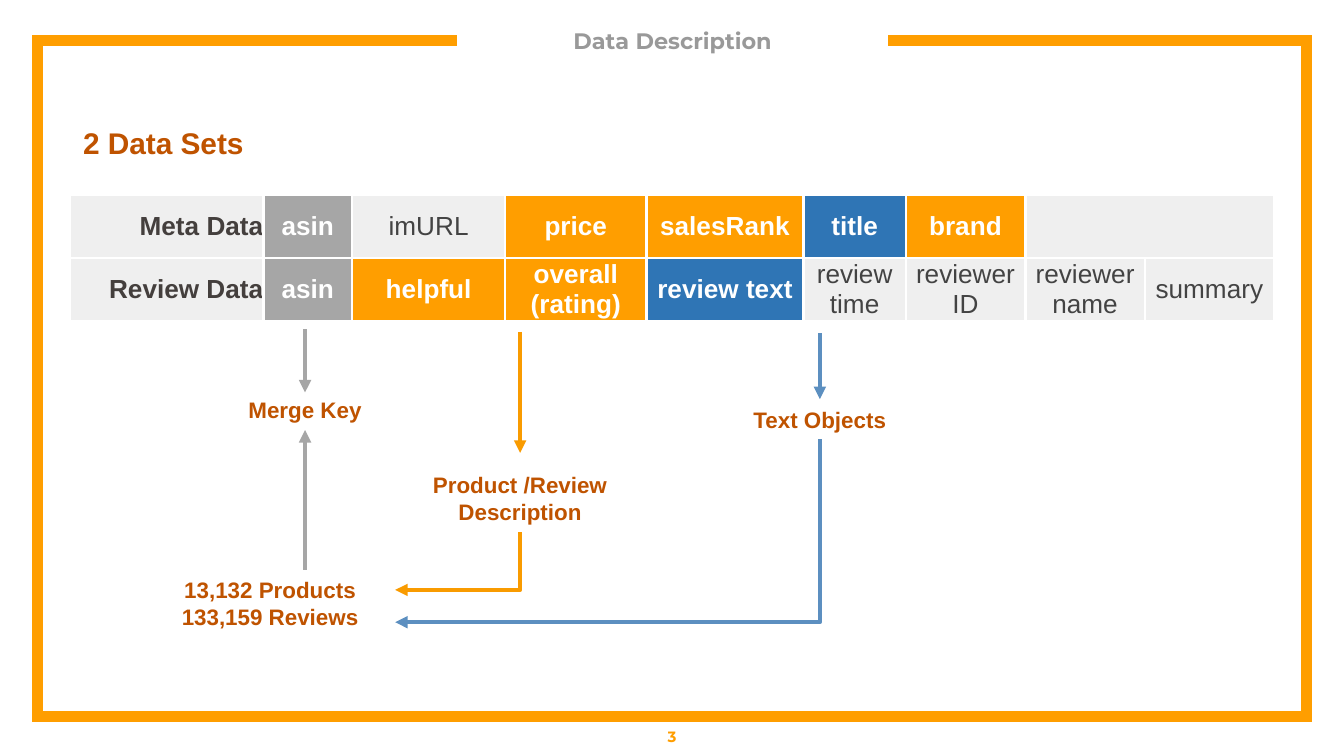
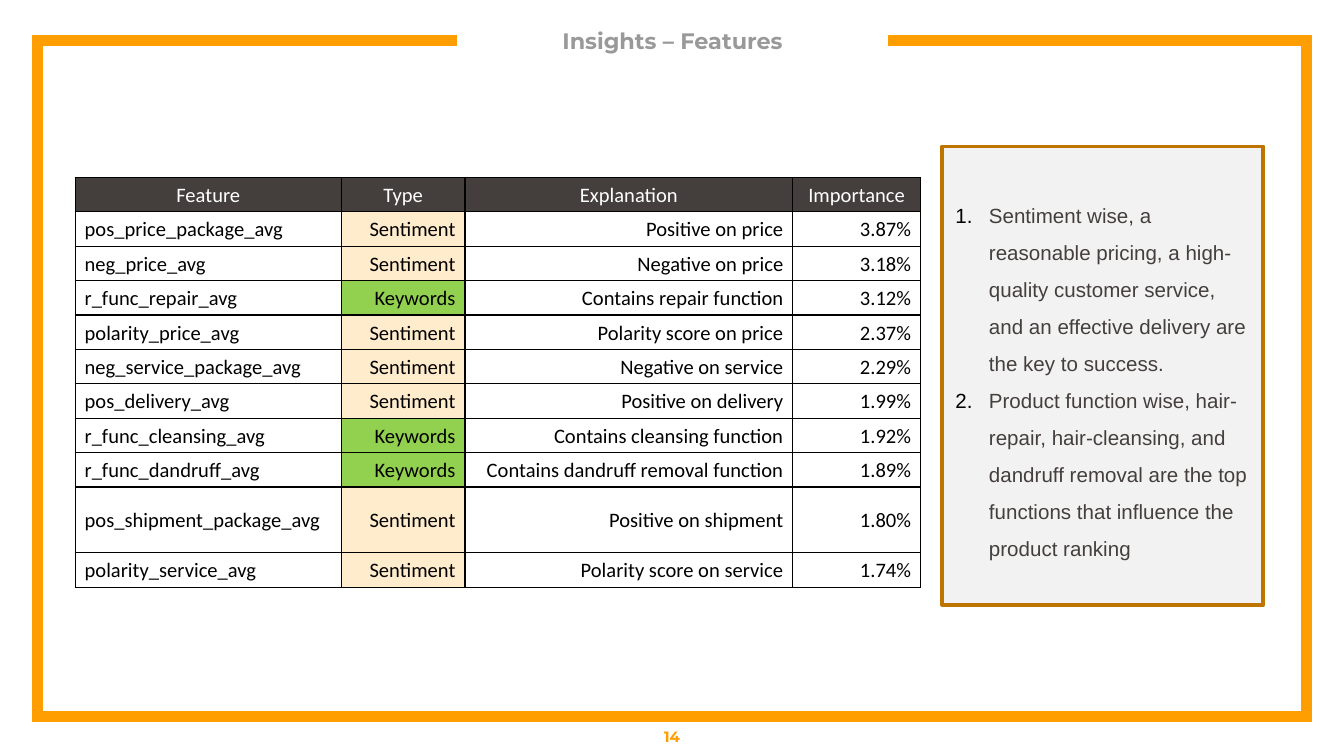
from lxml.etree import SubElement
from pptx import Presentation
from pptx.dml.color import RGBColor
from pptx.enum.shapes import MSO_CONNECTOR, MSO_SHAPE
from pptx.enum.text import MSO_ANCHOR, MSO_AUTO_SIZE, PP_ALIGN
from pptx.oxml.ns import qn
from pptx.util import Inches, Pt

COLORS = {
    "frame": "FF9E00", "title": "999999", "heading": "BF5300", "dark": "443F3D",
    "body": "434343", "white": "FFFFFF", "black": "000000", "pale": "EFEFEF",
    "key": "A6A6A6", "text": "2F75B5", "key arrow": "A6A6A6",
    "product arrow": "F99B00", "text arrow": "5C8FC0", "sentiment": "FFECCC",
    "keywords": "92D050", "panel": "F2F2F2", "panel line": "BD7500",
}
LEFT, CENTER, RIGHT = PP_ALIGN.LEFT, PP_ALIGN.CENTER, PP_ALIGN.RIGHT
FRAME_POINTS = [(3.4, 0.3), (0.28, 0.3), (0.28, 5.33), (9.72, 5.33), (9.72, 0.3), (6.61, 0.3)]

# Data Description: each field has a name and a role
DATA_SETS = [
    [("Meta Data", "label"), ("asin", "key"), ("imURL", "other"), ("price", "product"),
     ("salesRank", "product"), ("title", "text"), ("brand", "product"),
     ("", "other"), ("", "other")],
    [("Review Data", "label"), ("asin", "key"), ("helpful", "product"),
     ("overall (rating)", "product"), ("review text", "text"), ("review time", "other"),
     ("reviewer ID", "other"), ("reviewer name", "other"), ("summary", "other")],
]
# role: fill, font colour, bold, alignment
ROLES = {
    "label": ("pale", "dark", True, RIGHT),
    "key": ("key", "white", True, CENTER),
    "product": ("frame", "white", True, CENTER),
    "text": ("text", "white", True, CENTER),
    "other": ("pale", "body", False, CENTER),
}
DATA_COLUMNS = [1.44, 0.66, 1.14, 1.05, 1.17, 0.76, 0.89, 0.89, 0.96]
DATA_ROWS = [0.47, 0.47]
FLOW_LABELS = [
    (["Merge Key"], (1.56, 2.9, 1.42, 0.3)),
    (["Product /Review Description"], (2.98, 3.46, 1.78, 0.5)),
    (["Text Objects"], (5.21, 2.97, 1.78, 0.3)),
    (["13,132 Products", "133,159 Reviews"], (1.12, 4.24, 1.78, 0.5)),
]
KEY_X, PRODUCT_X, TEXT_X, TOTALS_X = 2.27, 3.87, 6.1, 2.94
STRAIGHT_ARROWS = [
    ("key arrow", KEY_X, 2.45, 2.92),
    ("key arrow", KEY_X, 4.24, 3.2),
    ("product arrow", PRODUCT_X, 2.47, 3.37),
    ("text arrow", TEXT_X, 2.48, 2.97),
]
BENT_ARROWS = [
    ("product arrow", (PRODUCT_X, 3.96), (TOTALS_X, 4.39)),
    ("text arrow", (TEXT_X, 3.27), (TOTALS_X, 4.63)),
]

# Insights – Features
FEATURE_HEADER = ["Feature", "Type", "Explanation", "Importance"]
FEATURES = [
    ("pos_price_package_avg", "Sentiment", "Positive on price", "3.87%"),
    ("neg_price_avg", "Sentiment", "Negative on price", "3.18%"),
    ("r_func_repair_avg", "Keywords", "Contains repair function", "3.12%"),
    ("polarity_price_avg", "Sentiment", "Polarity score on price", "2.37%"),
    ("neg_service_package_avg", "Sentiment", "Negative on service", "2.29%"),
    ("pos_delivery_avg", "Sentiment", "Positive on delivery", "1.99%"),
    ("r_func_cleansing_avg", "Keywords", "Contains cleansing function", "1.92%"),
    ("r_func_dandruff_avg", "Keywords", "Contains dandruff removal function", "1.89%"),
    ("pos_shipment_package_avg", "Sentiment", "Positive on shipment", "1.80%"),
    ("polarity_service_avg", "Sentiment", "Polarity score on service", "1.74%"),
]
FEATURE_COLUMNS = [1.98, 0.92, 2.44, 0.95]
FEATURE_HEIGHT, TALL_ROW = 3.05, 0.49
PLAIN_ROW = (FEATURE_HEIGHT - TALL_ROW) / len(FEATURES)
FEATURE_ROWS = [PLAIN_ROW] * 9 + [TALL_ROW, PLAIN_ROW]
TAKEAWAYS = [
    "Sentiment wise, a reasonable pricing, a high-quality customer service, "
    "and an effective delivery are the key to success.",
    "Product function wise, hair-repair, hair-cleansing, and dandruff removal "
    "are the top functions that influence the product ranking",
]


def color(name):
    return RGBColor.from_string(COLORS[name])


def write(paragraph, text, size, color_name, font="Arial", bold=False, align=LEFT):
    paragraph.alignment = align
    run = paragraph.add_run()
    run.text = text
    run.font.size = Pt(size)
    run.font.name = font
    run.font.bold = bold
    run.font.color.rgb = color(color_name)


def add_text(slide, box, lines, size, color_name, font="Arial", align=CENTER,
             margins=None, grow=False):
    """Bold text box with one paragraph per line."""
    frame = slide.shapes.add_textbox(*map(Inches, box)).text_frame
    frame.word_wrap = True
    if grow:
        frame.auto_size = MSO_AUTO_SIZE.SHAPE_TO_FIT_TEXT
    else:
        frame.vertical_anchor = MSO_ANCHOR.MIDDLE
    if margins is not None:
        frame.margin_left = frame.margin_right = Inches(margins)
        frame.margin_top = frame.margin_bottom = Inches(margins)
    for index, line in enumerate(lines):
        paragraph = frame.add_paragraph() if index else frame.paragraphs[0]
        write(paragraph, line, size, color_name, font, True, align)


def add_base_slide(presentation, title, number):
    """Slide with the open frame, title and page number."""
    slide = presentation.slides.add_slide(presentation.slide_layouts[6])
    points = [(Inches(x), Inches(y)) for x, y in FRAME_POINTS]
    builder = slide.shapes.build_freeform(*points[0])
    builder.add_line_segments(points[1:], close=False)
    border = builder.convert_to_shape()
    border.shadow.inherit = False
    border.fill.background()
    border.line.color.rgb = color("frame")
    border.line.width = Pt(6)
    SubElement(border.element.spPr.find(qn("a:ln")), qn("a:miter"), lim="800000")
    add_text(slide, (3.55, 0.11, 2.91, 0.39), [title], 12, "title", "Montserrat", margins=0)
    add_text(slide, (0, 5.33, 10, 0.3), [number], 8, "frame", "Montserrat", margins=0.1)
    return slide


def add_plain_table(slide, left, top, columns, rows):
    shape = slide.shapes.add_table(len(rows), len(columns), Inches(left), Inches(top),
                                   Inches(sum(columns)), Inches(sum(rows)))
    table = shape.table
    table.first_row = table.horz_banding = False
    for column, width in zip(table.columns, columns):
        column.width = Inches(width)
    for row, height in zip(table.rows, rows):
        row.height = Inches(height)
    return table


def style_cell(cell, fill_name, border_name, border_width, side_margin):
    properties = cell._tc.get_or_add_tcPr()
    for side in ("a:lnL", "a:lnR", "a:lnT", "a:lnB"):
        line = SubElement(properties, qn(side), w=str(Pt(border_width)))
        fill = SubElement(line, qn("a:solidFill"))
        SubElement(fill, qn("a:srgbClr"), val=COLORS[border_name])
    cell.fill.solid()
    cell.fill.fore_color.rgb = color(fill_name)
    cell.vertical_anchor = MSO_ANCHOR.MIDDLE
    cell.margin_left = cell.margin_right = Inches(side_margin)
    cell.margin_top = cell.margin_bottom = 0


def add_arrow(slide, color_name, start, end, kind=MSO_CONNECTOR.STRAIGHT):
    arrow = slide.shapes.add_connector(kind, *map(Inches, start + end))
    arrow.line.color.rgb = color(color_name)
    arrow.line.width = Pt(2.25)
    properties = arrow.element.spPr
    SubElement(properties.find(qn("a:ln")), qn("a:tailEnd"), type="triangle")
    SubElement(properties, qn("a:effectLst"))
    return arrow


def add_bent_arrow(slide, color_name, start, end):
    """Arrow that runs down from start, then left to end."""
    across, down = start[0] - end[0], end[1] - start[1]
    left = (start[0] + end[0] - down) / 2
    top = (start[1] + end[1] - across) / 2
    arrow = add_arrow(slide, color_name, (left, top), (left + down, top + across),
                      MSO_CONNECTOR.ELBOW)
    properties = arrow.element.spPr
    properties.find(qn("a:xfrm")).set("rot", str(90 * 60000))
    properties.find(qn("a:prstGeom")).set("prst", "bentConnector2")


def build_data_description(presentation):
    slide = add_base_slide(presentation, "Data Description", "3")
    add_text(slide, (0.52, 0.88, 2.3, 0.37), ["2 Data Sets"], 16, "heading",
             align=LEFT, grow=True)

    # Fields of both data sets
    table = add_plain_table(slide, 0.52, 1.45, DATA_COLUMNS, DATA_ROWS)
    for row, fields in enumerate(DATA_SETS):
        for column, (name, role) in enumerate(fields):
            fill_name, font_color, bold, align = ROLES[role]
            cell = table.cell(row, column)
            style_cell(cell, fill_name, "white", 1.5, 0)
            if name:
                write(cell.text_frame.paragraphs[0], name, 14, font_color,
                      bold=bold, align=align)
    table.cell(0, 7).merge(table.cell(0, 8))

    # Flow from fields to totals
    for lines, box in FLOW_LABELS:
        add_text(slide, box, lines, 12, "heading", grow=True)
    for color_name, x, start_y, end_y in STRAIGHT_ARROWS:
        add_arrow(slide, color_name, (x, start_y), (x, end_y))
    for color_name, start, end in BENT_ARROWS:
        add_bent_arrow(slide, color_name, start, end)


def build_features(presentation):
    slide = add_base_slide(presentation, "Insights – Features", "14")

    # Feature importance
    table = add_plain_table(slide, 0.56, 1.32, FEATURE_COLUMNS, FEATURE_ROWS)
    for row, values in enumerate([FEATURE_HEADER, *FEATURES]):
        for column, value in enumerate(values):
            if row == 0:
                fill_name, font_color, align = "dark", "white", CENTER
            else:
                fill_name = value.lower() if column == 1 else "white"
                font_color, align = "black", RIGHT if column else LEFT
            cell = table.cell(row, column)
            style_cell(cell, fill_name, "black", 0.75, 0.07)
            paragraph = cell.text_frame.paragraphs[0]
            paragraph.line_spacing = 1.07
            paragraph.space_after = Pt(8)
            write(paragraph, value, 11, font_color, "Calibri", align=align)

    # Numbered takeaways
    panel = slide.shapes.add_shape(MSO_SHAPE.RECTANGLE,
                                   *map(Inches, (7.01, 1.09, 2.39, 3.41)))
    panel.shadow.inherit = False
    panel.fill.solid()
    panel.fill.fore_color.rgb = color("panel")
    panel.line.color.rgb = color("panel line")
    panel.line.width = Pt(2)
    frame = panel.text_frame
    frame.word_wrap = True
    frame.vertical_anchor = MSO_ANCHOR.MIDDLE
    for index, takeaway in enumerate(TAKEAWAYS):
        paragraph = frame.add_paragraph() if index else frame.paragraphs[0]
        paragraph.line_spacing = 1.5
        write(paragraph, takeaway, 11, "dark")
        properties = paragraph._p.get_or_add_pPr()
        properties.set("marL", str(Inches(0.25)))
        properties.set("indent", str(Inches(-0.25)))
        bullet_color = SubElement(properties, qn("a:buClr"))
        SubElement(bullet_color, qn("a:srgbClr"), val=COLORS["black"])
        SubElement(properties, qn("a:buAutoNum"), type="arabicPeriod")


def main():
    presentation = Presentation()
    presentation.slide_width = Inches(10)
    presentation.slide_height = Inches(10 * 9 / 16)
    build_data_description(presentation)
    build_features(presentation)
    presentation.save("out.pptx")


if __name__ == "__main__":
    main()
